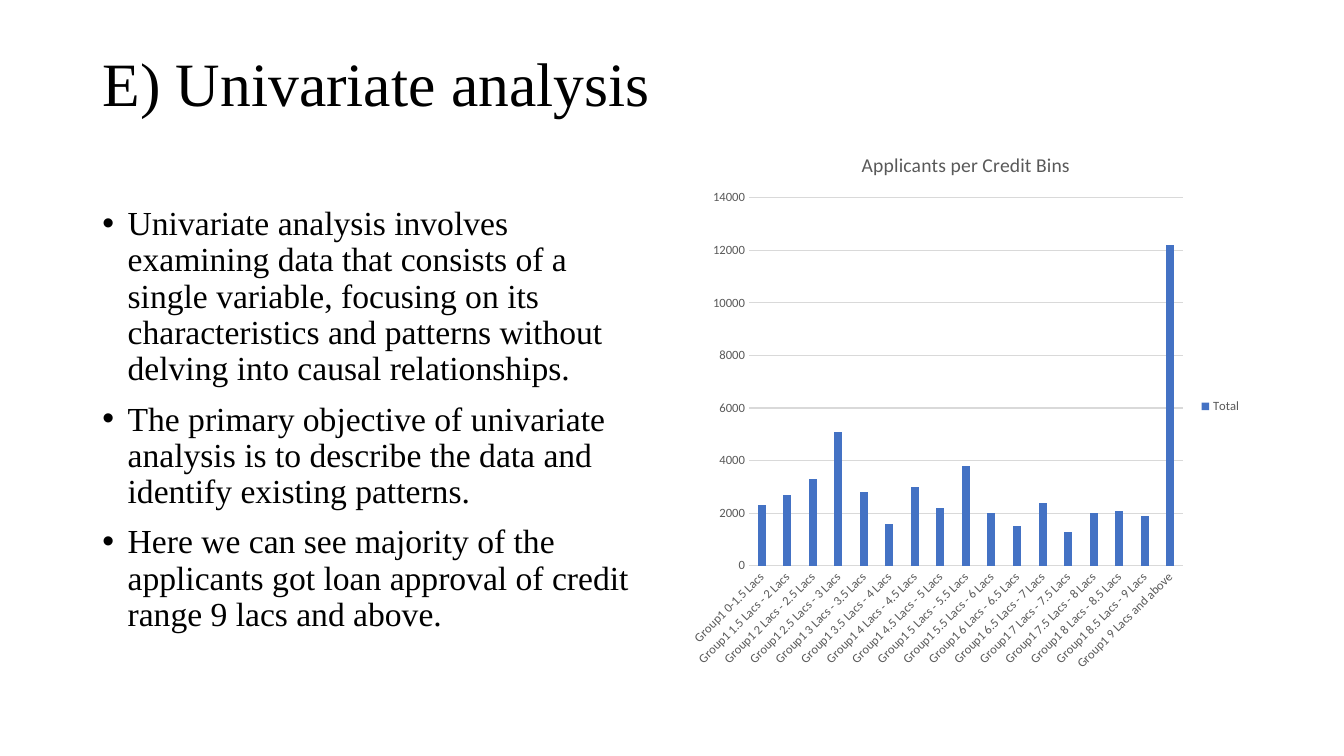
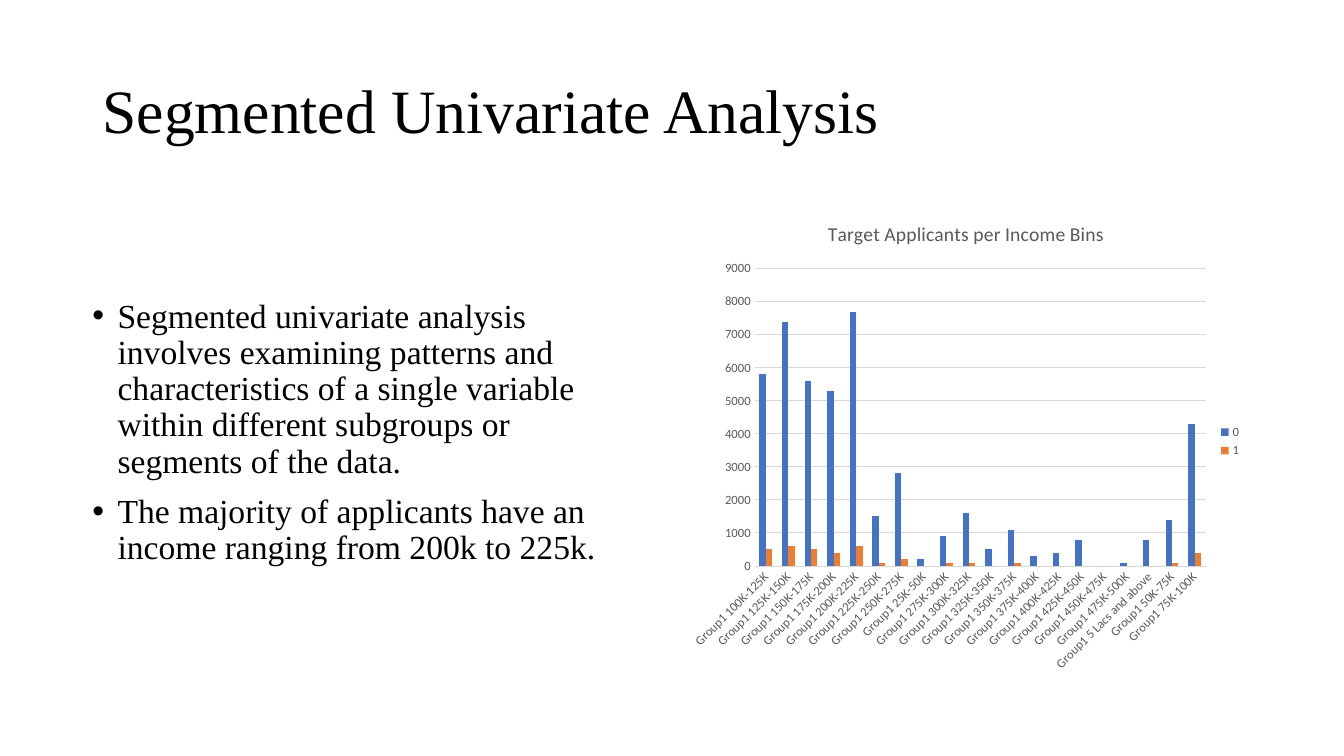
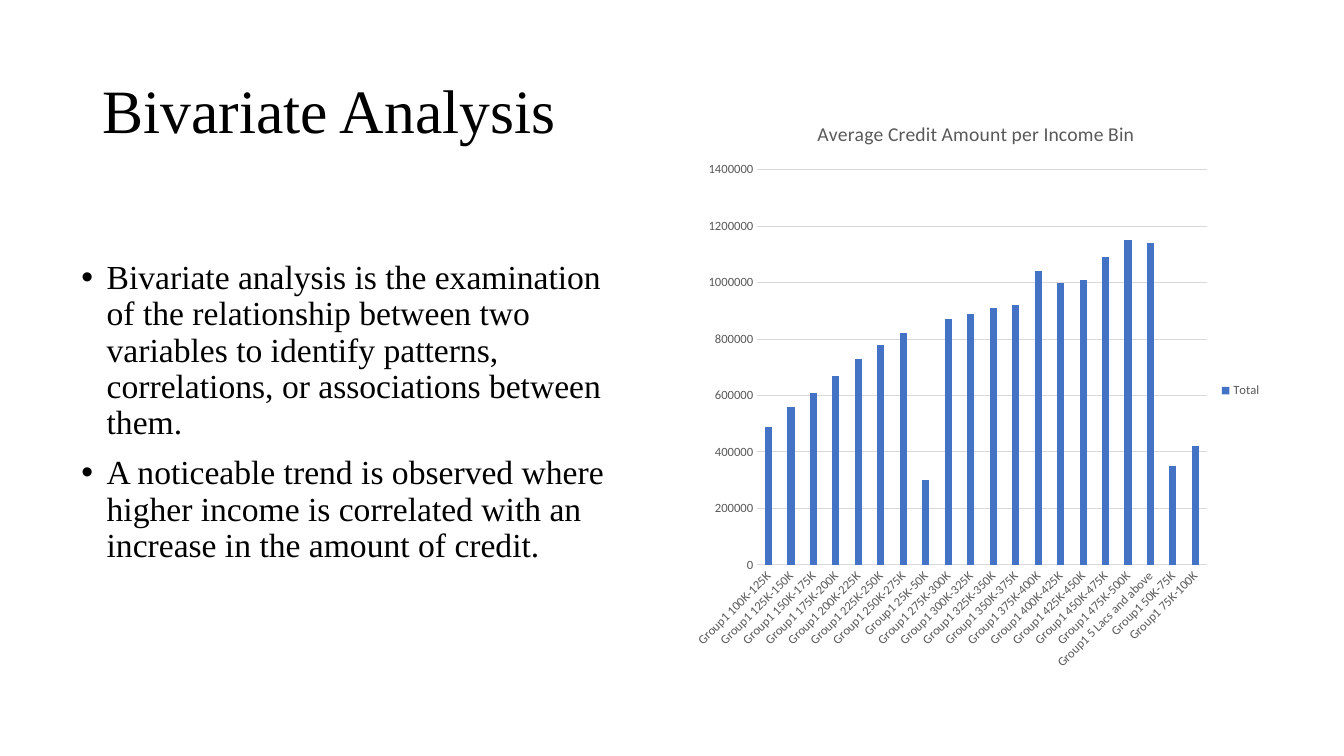
"""Build three slides that each pair a bulleted list with a column chart."""
from lxml.etree import SubElement
from pptx import Presentation
from pptx.chart.data import CategoryChartData
from pptx.dml.color import RGBColor
from pptx.enum.chart import XL_CHART_TYPE, XL_LEGEND_POSITION, XL_TICK_MARK
from pptx.enum.text import MSO_ANCHOR, MSO_AUTO_SIZE, PP_ALIGN
from pptx.oxml.ns import qn
from pptx.util import Inches, Pt

COLORS = {"text": "000000", "label": "595959", "grid": "D9D9D9", "series": ["4472C4", "ED7D31"]}
TEXT_FONT, CHART_FONT = "Times New Roman", "Calibri"
CELL = Inches(13.333) / 80
LEFT, RIGHT, HALF, FULL = 5.5, 40.5, 34, 69
TITLE_TOP, CHART_BOTTOM = 2.4, 40.55

CREDIT_BINS = ["Group1 0-1.5 Lacs"]
CREDIT_BINS += [f"Group1 {half / 2:g} Lacs - {(half + 1) / 2:g} Lacs" for half in range(3, 18)]
CREDIT_BINS += ["Group1 9 Lacs and above"]
INCOME_BINS = sorted([f"Group1 {low}K-{low + 25}K" for low in range(25, 500, 25)]
                     + ["Group1 5 Lacs and above"])

SLIDES = [
    {
        "title": "E) Univariate analysis", "title_rows": 5.46,
        "body_at": (LEFT, 12, HALF, 28.55),
        "bullets": [
            "Univariate analysis involves examining data that consists of a single variable, focusing on "
            "its characteristics and patterns without delving into causal relationships.",
            "The primary objective of univariate analysis is to describe the data and identify existing "
            "patterns.",
            "Here we can see majority of the applicants got loan approval of credit range 9 lacs and above.",
        ],
        "chart": {
            "title": "Applicants per Credit Bins", "top": 7.85, "columns": HALF,
            "plot": (0.12, 0.12, 0.76, 0.67), "scale": (14000, 2000), "gap": 219, "overlap": -27,
            "axis_line": True, "bins": CREDIT_BINS,
            "series": {"Total": [2300, 2700, 3300, 5100, 2800, 1600, 3000, 2200, 3800, 2000, 1500,
                                 2400, 1300, 2000, 2100, 1900, 12200]},
        },
    },
    {
        "title": "Segmented Univariate Analysis", "title_rows": 8.7,
        "body_at": (4.9, 17.5, 32.4, 21.25),
        "bullets": [
            "Segmented univariate analysis involves examining patterns and characteristics of a single "
            "variable within different subgroups or segments of the data.",
            "The majority of applicants have an income ranging from 200k to 225k.",
        ],
        "chart": {
            "title": "Target Applicants per Income Bins", "top": 12, "columns": HALF,
            "plot": (0.13, 0.14, 0.79, 0.62), "scale": (9000, 1000), "gap": 150, "overlap": 0,
            "axis_line": False, "bins": INCOME_BINS,
            "series": {"0": [5800, 7400, 5600, 5300, 7700, 1500, 2800, 200, 900, 1600, 500, 1100, 300,
                             400, 800, 0, 100, 800, 1400, 4300],
                       "1": [500, 600, 500, 400, 600, 100, 200, 0, 100, 100, 0, 100, 0, 0, 0, 0, 0, 0,
                             100, 400]},
        },
    },
    {
        "title": "Bivariate Analysis", "title_rows": 8.7,
        "body_at": (4.25, 15.2, HALF, 21.25),
        "bullets": [
            "Bivariate analysis is the examination of the relationship between two variables to identify "
            "patterns, correlations, or associations between them.",
            "A noticeable trend is observed where higher income is correlated with an increase in the "
            "amount of credit.",
        ],
        "chart": {
            "title": "Average Credit Amount per Income Bin", "top": 5.95, "columns": 35.2,
            "plot": (0.13, 0.12, 0.76, 0.68), "scale": (1400000, 200000), "gap": 219, "overlap": -27,
            "axis_line": True, "bins": INCOME_BINS,
            "series": {"Total": [490000, 560000, 610000, 670000, 730000, 780000, 820000, 300000, 870000,
                                 890000, 910000, 920000, 1040000, 1000000, 1010000, 1090000, 1150000,
                                 1140000, 350000, 420000]},
        },
    },
]


def place(*cells):
    """Turn grid columns and rows into lengths."""
    return [round(cell * CELL) for cell in cells]


def style_font(font, name, size, color):
    """Set the face, size and colour of a font."""
    font.name, font.size, font.bold = name, Pt(size), False
    font.color.rgb = RGBColor.from_string(COLORS[color])


def fill_placeholder(box, at, lines, size, anchor):
    """Move a placeholder and give it formatted paragraphs."""
    box.left, box.top, box.width, box.height = place(*at)
    frame = box.text_frame
    frame.text = "\n".join(lines)
    frame.word_wrap, frame.auto_size = True, MSO_AUTO_SIZE.NONE
    frame.vertical_anchor = anchor
    for para in frame.paragraphs:
        para.alignment, para.line_spacing = PP_ALIGN.LEFT, 0.9
        for span in para.runs:
            style_font(span.font, TEXT_FONT, size, "text")


def add_bullets(box):
    """Give each paragraph a hanging bullet and space above."""
    for para in box.text_frame.paragraphs:
        para.space_before = Pt(10)
        properties = para._p.get_or_add_pPr()
        properties.set("marL", str(Inches(0.25)))
        properties.set("indent", str(-Inches(0.25)))
        SubElement(properties, qn("a:buFont")).set("typeface", "Arial")
        SubElement(properties, qn("a:buChar")).set("char", "•")


def set_plot_layout(chart, shares):
    """Fix the inner plot area as shares of the chart."""
    plot_area = chart._chartSpace.chart.plotArea
    layout = plot_area.find(qn("c:layout"))
    if layout is None:
        layout = SubElement(plot_area, qn("c:layout"))
        plot_area.insert(0, layout)
    manual = SubElement(layout, qn("c:manualLayout"))
    values = {"layoutTarget": "inner", "xMode": "edge", "yMode": "edge"}
    values.update(zip("xywh", shares))
    for tag, value in values.items():
        SubElement(manual, qn(f"c:{tag}")).set("val", str(value))


def style_line(line, visible):
    """Draw a thin grey line or none."""
    if visible:
        line.color.rgb = RGBColor.from_string(COLORS["grid"])
        line.width = Pt(0.75)
    else:
        line.fill.background()


def style_axes(chart, details):
    """Format both axes and the gridlines."""
    bins, values = chart.category_axis, chart.value_axis
    for axis, visible in ((bins, details["axis_line"]), (values, False)):
        axis.major_tick_mark = axis.minor_tick_mark = XL_TICK_MARK.NONE
        style_font(axis.tick_labels.font, CHART_FONT, 9, "label")
        style_line(axis.format.line, visible)
    bins._element.find(qn("c:txPr")).find(qn("a:bodyPr")).set("rot", "-2700000")
    values.minimum_scale = 0
    values.maximum_scale, values.major_unit = details["scale"]
    style_line(values.major_gridlines.format.line, True)


def add_column_chart(slide, details):
    """Add a clustered column chart with title and legend."""
    data = CategoryChartData()
    data.categories = details["bins"]
    for name, values in details["series"].items():
        data.add_series(name, values)
    top = details["top"]
    at = place(RIGHT, top, details["columns"], CHART_BOTTOM - top)
    chart = slide.shapes.add_chart(XL_CHART_TYPE.COLUMN_CLUSTERED, *at, data).chart
    style_font(chart.font, CHART_FONT, 10, "text")
    chart.has_title = True
    chart.chart_title.text_frame.text = details["title"]
    style_font(chart.chart_title.text_frame.paragraphs[0].runs[0].font, CHART_FONT, 14, "label")
    chart.has_legend = True
    chart.legend.position = XL_LEGEND_POSITION.RIGHT
    chart.legend.include_in_layout = False
    style_font(chart.legend.font, CHART_FONT, 9, "label")
    plot = chart.plots[0]
    plot.gap_width, plot.overlap, plot.vary_by_categories = details["gap"], details["overlap"], False
    for series, color in zip(plot.series, COLORS["series"]):
        series.format.fill.solid()
        series.format.fill.fore_color.rgb = RGBColor.from_string(color)
    style_axes(chart, details)
    set_plot_layout(chart, details["plot"])


def add_analysis_slide(deck, content):
    """Add a slide with title, bullets and chart."""
    page = deck.slides.add_slide(deck.slide_layouts[1])
    title, body = page.placeholders
    title_at = (LEFT, TITLE_TOP, FULL, content["title_rows"])
    fill_placeholder(title, title_at, [content["title"]], 44, MSO_ANCHOR.MIDDLE)
    fill_placeholder(body, content["body_at"], content["bullets"], 24, MSO_ANCHOR.TOP)
    add_bullets(body)
    add_column_chart(page, content["chart"])


def main():
    """Build and save the deck."""
    deck = Presentation()
    deck.slide_width, deck.slide_height = Inches(13.333), Inches(7.5)
    for content in SLIDES:
        add_analysis_slide(deck, content)
    deck.save("out.pptx")


if __name__ == "__main__":
    main()
